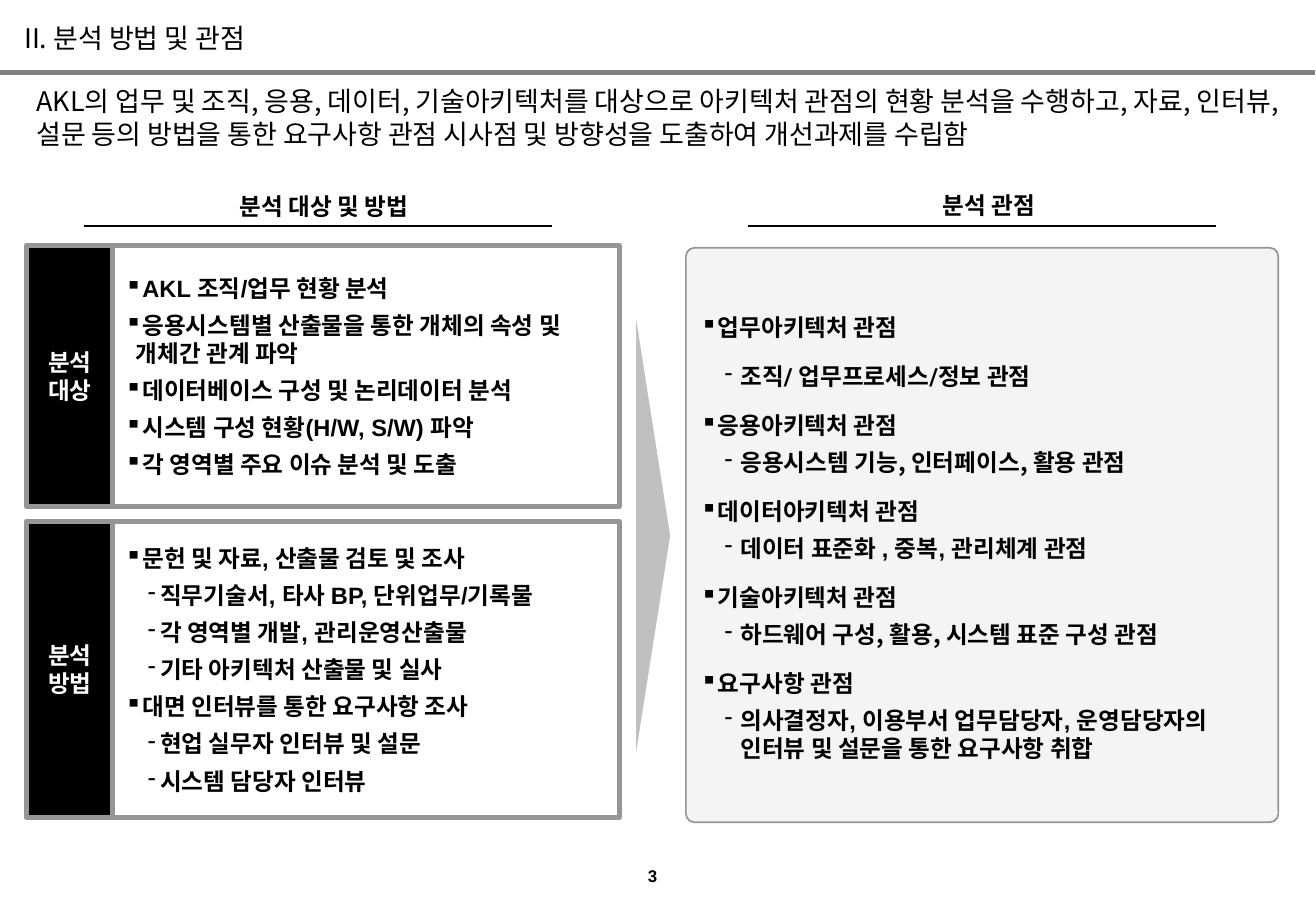
from dataclasses import dataclass
from typing import NamedTuple

from lxml.etree import SubElement
from pptx import Presentation
from pptx.dml.color import RGBColor
from pptx.enum.shapes import MSO_AUTO_SHAPE_TYPE as Form, MSO_CONNECTOR as Wire
from pptx.enum.text import MSO_ANCHOR as Anchor, MSO_AUTO_SIZE as Fit, PP_ALIGN as Align
from pptx.oxml.ns import qn
from pptx.util import Emu, Pt

SCALE = 9144
BLACK = RGBColor(0x00, 0x00, 0x00)
WHITE = RGBColor(0xFF, 0xFF, 0xFF)
EDGE = RGBColor(0x96, 0x96, 0x96)
RULE = RGBColor(0x80, 0x80, 0x80)
ARROW = RGBColor(0xC0, 0xC0, 0xC0)
PALE = RGBColor(0xDD, 0xDD, 0xDD)
NOTO, ARIAL, ROBOTO = "Noto Sans CJK KR", "Arial", "Roboto"


class Box(NamedTuple):
    left: int
    top: int
    width: int
    height: int


@dataclass(frozen=True)
class Style:
    mark: str = ""
    left: int = 0
    hang: int = 0
    before: float = 0
    after: float = 0
    space: float = 1.0
    level: int = 0


@dataclass(frozen=True)
class Item:
    text: str
    style: Style
    font: str = ARIAL


@dataclass(frozen=True)
class Panel:
    label: str
    top: int
    height: int
    items: list[Item]


@dataclass(frozen=True)
class Header:
    text: str
    box: Box
    start: int


PLAIN = Style()
LEAD = Style(before=2, after=2)
LABEL = Style(before=5.2)
POINT = Style("▪", 9, 9, 5.2)
WIDE = Style("▪", 13, 13, 5.2)
DASH = Style("-", 29, 10, 5.2, level=1)
VIEW = Style("▪", 9, 9, 8.8, space=1.2)
LOOSE = Style("-", 33, 13, 8.8, space=1.2, level=1)
TIGHT = Style("-", 33, 13, 5.2, level=1)

PANELS = [
    Panel("분석 대상", 202, 215, [
        Item("AKL 조직/업무 현황 분석", POINT),
        Item("응용시스템별 산출물을 통한 개체의 속성 및 개체간 관계 파악", POINT),
        Item("데이터베이스 구성 및 논리데이터 분석", POINT),
        Item("시스템 구성 현황(H/W, S/W) 파악", POINT),
        Item("각 영역별 주요 이슈 분석 및 도출", POINT),
    ]),
    Panel("분석 방법", 429, 244, [
        Item("문헌 및 자료, 산출물 검토 및 조사", WIDE),
        Item("직무기술서, 타사 BP, 단위업무/기록물", DASH),
        Item("각 영역별 개발, 관리운영산출물", DASH),
        Item("기타 아키텍처 산출물 및 실사", DASH),
        Item("대면 인터뷰를 통한 요구사항 조사", WIDE),
        Item("현업 실무자 인터뷰 및 설문", DASH),
        Item("시스템 담당자 인터뷰", DASH),
    ]),
]
VIEWS = [
    Item("업무아키텍처 관점", VIEW, ROBOTO),
    Item("조직/ 업무프로세스/정보 관점", LOOSE, ROBOTO),
    Item("응용아키텍처 관점", VIEW, ROBOTO),
    Item("응용시스템 기능, 인터페이스, 활용 관점", TIGHT, NOTO),
    Item("데이터아키텍처 관점", VIEW, ROBOTO),
    Item("데이터 표준화 , 중복, 관리체계 관점", TIGHT),
    Item("기술아키텍처 관점", VIEW, ROBOTO),
    Item("하드웨어 구성, 활용, 시스템 표준 구성 관점", TIGHT, NOTO),
    Item("요구사항 관점", VIEW, ROBOTO),
    Item("의사결정자, 이용부서 업무담당자, 운영담당자의 인터뷰 및 설문을 통한 요구사항 취합", TIGHT),
]
HEADERS = [
    Header("분석 대상 및 방법", Box(186, 153, 162, 34), 69),
    Header("분석 관점", Box(766, 152, 97, 34), 616),
]


def px(count: int) -> Emu:
    return Emu(count * SCALE)


def write(shape, items: list[Item], size: int = 14, color: RGBColor = BLACK,
          bold: bool = True, align: Align = Align.LEFT, anchor: Anchor = Anchor.MIDDLE,
          side: int = 10, edge: int = 5, wrap: bool = True) -> None:
    frame = shape.text_frame
    frame.word_wrap = wrap
    frame.auto_size = Fit.NONE
    frame.vertical_anchor = anchor
    frame.margin_left = frame.margin_right = px(side)
    frame.margin_top = frame.margin_bottom = px(edge)
    for order, item in enumerate(items):
        para = frame.add_paragraph() if order else frame.paragraphs[0]
        style = item.style
        para.alignment = align
        para.level = style.level
        para.line_spacing = style.space
        para.space_before, para.space_after = Pt(style.before), Pt(style.after)
        run = para.add_run()
        run.text = item.text
        font = run.font
        font.name, font.size, font.bold = item.font, Pt(size), bold
        font.color.rgb = color
        SubElement(font._element, qn("a:ea"), typeface=NOTO)
        props = para._p.get_or_add_pPr()
        props.set("marL", str(px(style.left)))
        props.set("indent", str(px(-style.hang)))
        if style.mark:
            tint = SubElement(props, qn("a:buClr"))
            SubElement(tint, qn("a:srgbClr"), val=str(BLACK))
            SubElement(props, qn("a:buChar"), char=style.mark)
        else:
            SubElement(props, qn("a:buNone"))


def place(shape, box: Box) -> None:
    shape.left, shape.top, shape.width, shape.height = map(px, box)


def block(slide, form: Form, box: Box, fill: RGBColor, weight: float = 0):
    shape = slide.shapes.add_shape(form, *map(px, box))
    shape.shadow.inherit = False
    shape.fill.solid()
    shape.fill.fore_color.rgb = fill
    if weight:
        shape.line.color.rgb = EDGE
        shape.line.width = Pt(weight)
    else:
        shape.line.fill.background()
    return shape


def rule(slide, start: int, end: int, top: int, color: RGBColor, weight: float) -> None:
    line = slide.shapes.add_connector(Wire.STRAIGHT, px(start), px(top), px(end), px(top))
    line.line.color.rgb = color
    line.line.width = Pt(weight)
    SubElement(line._element.spPr, qn("a:effectLst"))


def label(slide, text: str, box: Box, **look) -> None:
    shape = slide.shapes.add_textbox(*map(px, box))
    write(shape, [Item(text, PLAIN, look.pop("font", NOTO))], align=Align.CENTER,
          anchor=Anchor.TOP, wrap=False, **look)


def main() -> None:
    deck = Presentation()
    deck.slide_width, deck.slide_height = px(1084), px(750)
    slide = deck.slides.add_slide(deck.slide_layouts[1])
    title, lead = slide.placeholders
    place(title, Box(10, 13, 524, 37))
    write(title, [Item("II. 분석 방법 및 관점", PLAIN, NOTO)], size=16, bold=False,
          anchor=Anchor.TOP)
    place(lead, Box(30, 70, 1024, 69))
    write(lead, [Item(
        "AKL의 업무 및 조직, 응용, 데이터, 기술아키텍처를 대상으로 아키텍처 관점의 현황 분석을 "
        "수행하고, 자료, 인터뷰, 설문 등의 방법을 통한 요구사항 관점 시사점 및 방향성을 "
        "도출하여 개선과제를 수립함", LEAD, NOTO)],
        size=16, bold=False, anchor=Anchor.TOP, side=0, edge=0)
    rule(slide, 0, 1083, 60, RULE, 3)

    for head in HEADERS:
        label(slide, head.text, head.box)
        rule(slide, head.start, head.start + 386, 186, BLACK, 0.75)

    for panel in PANELS:
        body = block(slide, Form.RECTANGLE, Box(93, panel.top, 417, panel.height), WHITE, 3)
        write(body, panel.items)
        tab = block(slide, Form.RECTANGLE, Box(22, panel.top, 71, panel.height), BLACK, 3)
        write(tab, [Item(panel.label, LABEL, NOTO)], color=WHITE, align=Align.CENTER, side=2)

    arrow = block(slide, Form.ISOSCELES_TRIANGLE, Box(360, 427, 356, 28), ARROW)
    arrow.rotation = 90

    card = block(slide, Form.ROUNDED_RECTANGLE, Box(565, 204, 488, 473), PALE, 1)
    card.adjustments[0] = 0.015
    tint = card._element.spPr.find(qn("a:solidFill")).find(qn("a:srgbClr"))
    SubElement(tint, qn("a:alpha"), val="30000")
    write(card, VIEWS)

    label(slide, "3", Box(492, 708, 91, 27), size=10, font=ARIAL)
    deck.save("out.pptx")


if __name__ == "__main__":
    main()
